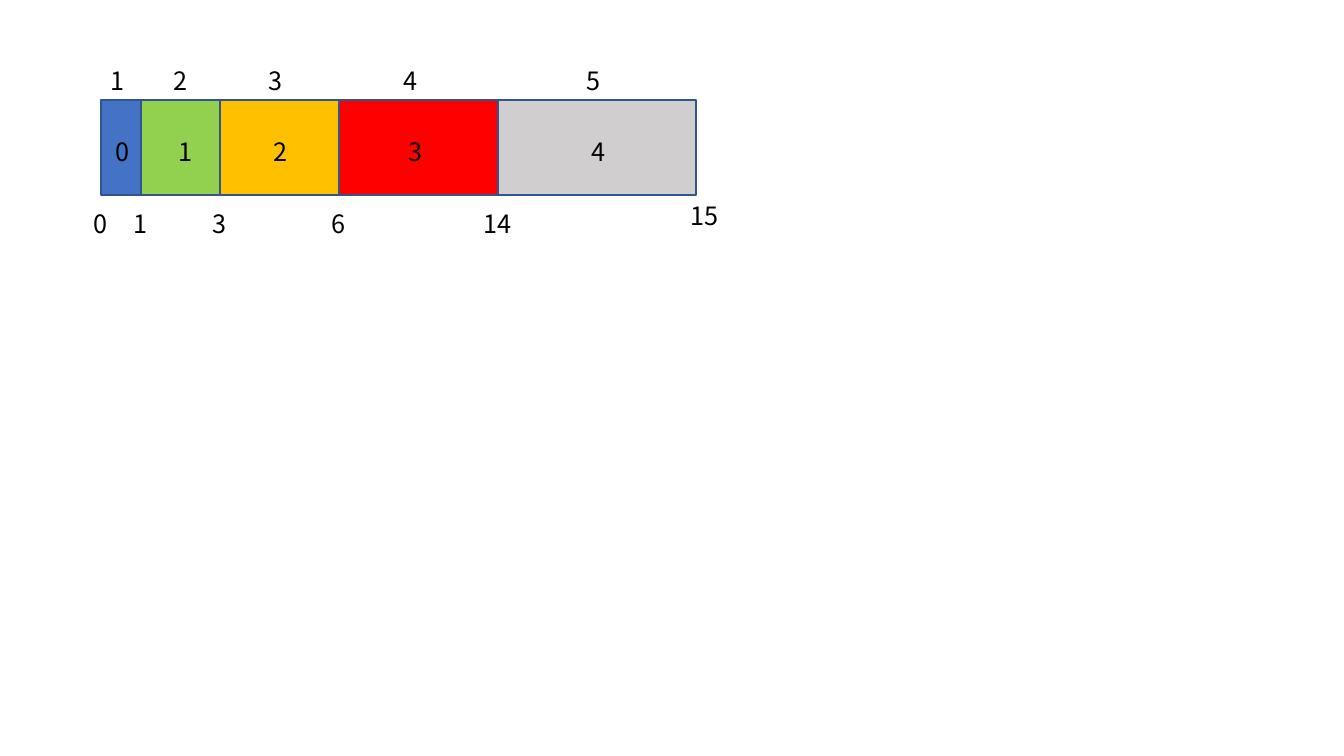
from itertools import accumulate
from pptx import Presentation
from pptx.dml.color import RGBColor
from pptx.enum.shapes import MSO_SHAPE
from pptx.enum.text import MSO_AUTO_SIZE
from pptx.util import Emu, Pt

RECT = MSO_SHAPE.RECTANGLE
GROW = MSO_AUTO_SIZE.SHAPE_TO_FIT_TEXT

SIZES = [1, 2, 3, 4, 5]
FILLS = ["4472C4", "92D050", "FFC000", "FF0000", "D0CECE"]
MIDS = [118, 181, 276, 411, 594]
MARKS = [0, 1, 3, 6, 14, 15]
NUDGES = [(0, 0)] * 5 + [(9, -8)]

LEFT, TOP, WIDE, HIGH = 101, 100, 595, 95
SIZE_Y, INDEX_Y, MARK_Y = 60, 131, 203
SHIFT = 5
FONT = {"name": "Noto Sans CJK JP", "size": Pt(18)}
BOX = {"word_wrap": False, "auto_size": GROW}


def px(n):
    return Emu(round(n * 914400 / 100.8))


def color(code):
    return RGBColor.from_string(code)


def label(text, mid, top):
    text = str(text)
    wide = 20 + 14 * len(text)
    box = slide.shapes.add_textbox(px(mid - wide // 2), px(top), px(wide), px(40))
    frame = box.text_frame
    for key, value in BOX.items():
        setattr(frame, key, value)
    run = frame.paragraphs[0].add_run()
    run.text = text
    for key, value in FONT.items():
        setattr(run.font, key, value)
    run.font.color.rgb = color("000000")


def block(left, right, fill):
    shape = slide.shapes.add_shape(RECT, px(left), px(TOP), px(right - left), px(HIGH))
    shape.shadow.inherit = False
    shape.fill.solid()
    shape.fill.fore_color.rgb = color(fill)
    shape.line.color.rgb = color("325491")
    shape.line.width = Pt(1)


deck = Presentation()
deck.slide_width, deck.slide_height = px(1344), px(756)
slide = deck.slides.add_slide(deck.slide_layouts[6])

total = sum(SIZES)
edges = [LEFT + round(WIDE * n / total) for n in accumulate(SIZES, initial=0)]

for left, right, fill in zip(edges, edges[1:], FILLS):
    block(left, right, fill)

for index, (size, mid) in enumerate(zip(SIZES, MIDS)):
    label(size, mid, SIZE_Y)
    label(index, mid + SHIFT, INDEX_Y)

for mark, edge, (dx, dy) in zip(MARKS, edges, NUDGES):
    label(mark, edge + dx, MARK_Y + dy)

deck.save("out.pptx")
